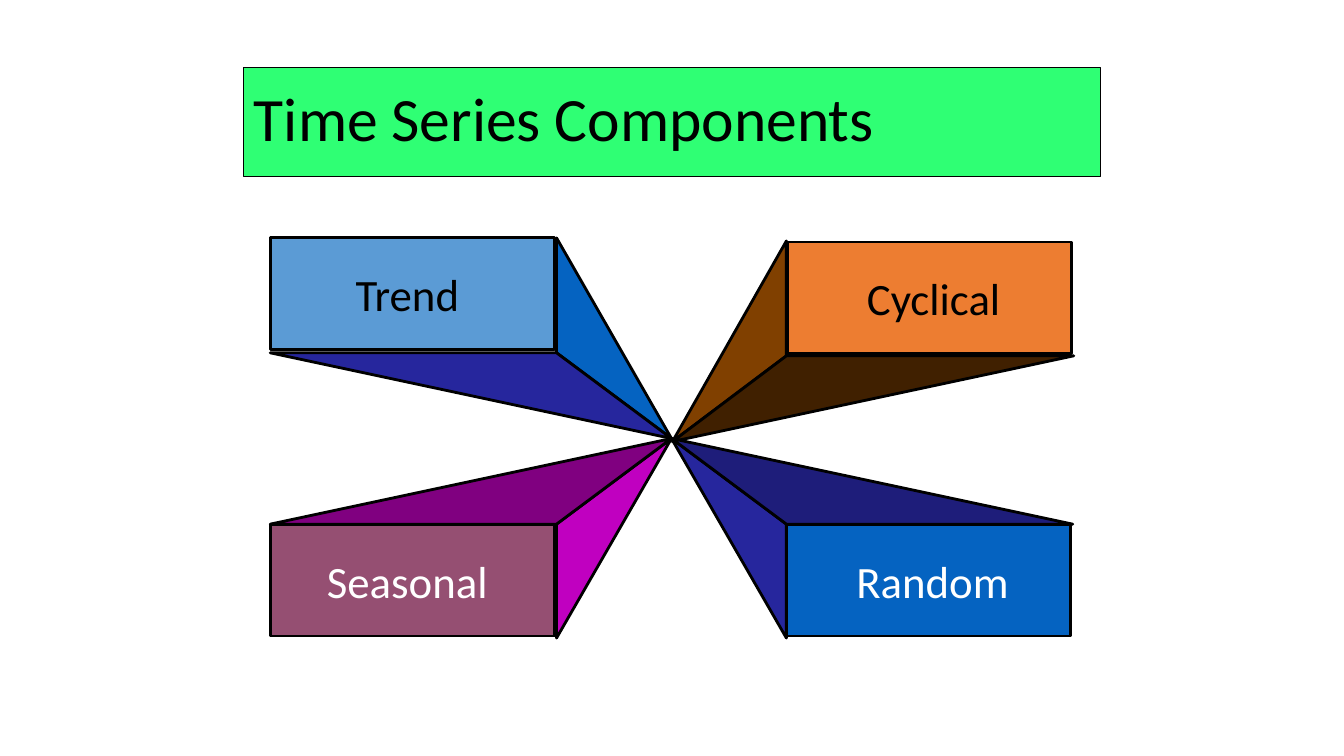
from pptx import Presentation
from pptx.dml.color import RGBColor
from pptx.enum.shapes import MSO_SHAPE
from pptx.enum.text import MSO_ANCHOR, PP_ALIGN
from pptx.util import Inches, Pt

FONT = "Calibri"
BLACK, WHITE = "000000", "FFFFFF"
TITLE = "Time Series Components"
BOX_W, BOX_H = 2.82, 1.11
LABEL_W, LABEL_H, LABEL_DROP = 2.25, 0.64, 0.24

# label, text colour, box left and top, label centre, vanishing point,
# outer x, inner x, near y and far y of the sides, then the three fills
COMPONENTS = [
    ("Trend", BLACK, (2.68, 2.36), 4.04, (6.66, 4.35),
     (2.68, 5.52, 3.5, 2.36), ("5B9BD5", "0563C1", "26269D")),
    ("Seasonal", WHITE, (2.68, 5.2), 4.04, (6.66, 4.35),
     (2.68, 5.52, 5.2, 6.33), ("954F72", "C000C0", "800080")),
    ("Cyclical", BLACK, (7.81, 2.4), 9.26, (6.67, 4.38),
     (10.65, 7.8, 3.53, 2.39), ("ED7D31", "804000", "402000")),
    ("Random", WHITE, (7.8, 5.2), 9.25, (6.66, 4.35),
     (10.64, 7.8, 5.2, 6.33), ("0563C1", "26269D", "1E1D7A")),
]


def paint(shape, fill, width=2):
    """Give a shape a flat fill and a black outline."""
    shape.shadow.inherit = False
    shape.fill.solid()
    shape.fill.fore_color.rgb = RGBColor.from_string(fill)
    shape.line.color.rgb = RGBColor.from_string(BLACK)
    shape.line.width = Pt(width)


def add_rect(shapes, left, top, width, height, fill, line=2):
    """Add a painted rectangle and return it."""
    rect = shapes.add_shape(MSO_SHAPE.RECTANGLE, Inches(left), Inches(top),
                            Inches(width), Inches(height))
    paint(rect, fill, line)
    return rect


def add_side(shapes, corners, fill):
    """Add a triangular side through three corners."""
    points = [(Inches(x), Inches(y)) for x, y in corners]
    builder = shapes.build_freeform(*points[0], scale=1.0)
    builder.add_line_segments(points[1:], close=True)
    paint(builder.convert_to_shape(), fill)


def write(shape, text, size, color, align):
    """Write one line of text in a shape."""
    frame = shape.text_frame
    frame.word_wrap = True
    paragraph = frame.paragraphs[0]
    paragraph.alignment = align
    run = paragraph.add_run()
    run.text = text
    run.font.name, run.font.size = FONT, Pt(size)
    run.font.color.rgb = RGBColor.from_string(color)
    return frame


def add_component(slide, label, color, corner, center, vanish, sides, fills):
    """Add a labelled box whose two sides run to the vanishing point."""
    shapes = slide.shapes.add_group_shape().shapes
    outer, inner, near, far = sides
    front, upright, flat = fills
    left, top = corner
    add_rect(shapes, left, top, BOX_W, BOX_H, front)
    add_side(shapes, [(inner, far), vanish, (inner, near)], upright)
    add_side(shapes, [(outer, near), (inner, near), vanish], flat)
    box = shapes.add_textbox(Inches(center - LABEL_W / 2),
                             Inches(top + LABEL_DROP),
                             Inches(LABEL_W), Inches(LABEL_H))
    write(box, label, 32, color, PP_ALIGN.CENTER)


prs = Presentation()
prs.slide_width, prs.slide_height = Inches(13.33), Inches(7.5)
slide = prs.slides.add_slide(prs.slide_layouts[6])

for component in COMPONENTS:
    add_component(slide, *component)

title = add_rect(slide.shapes, 2.42, 0.67, 8.5, 1.08, "2FFF74", 0.75)
title_frame = write(title, TITLE, 44, BLACK, PP_ALIGN.LEFT)
title_frame.vertical_anchor = MSO_ANCHOR.MIDDLE
title_frame.paragraphs[0].line_spacing = 0.9

prs.save("out.pptx")
